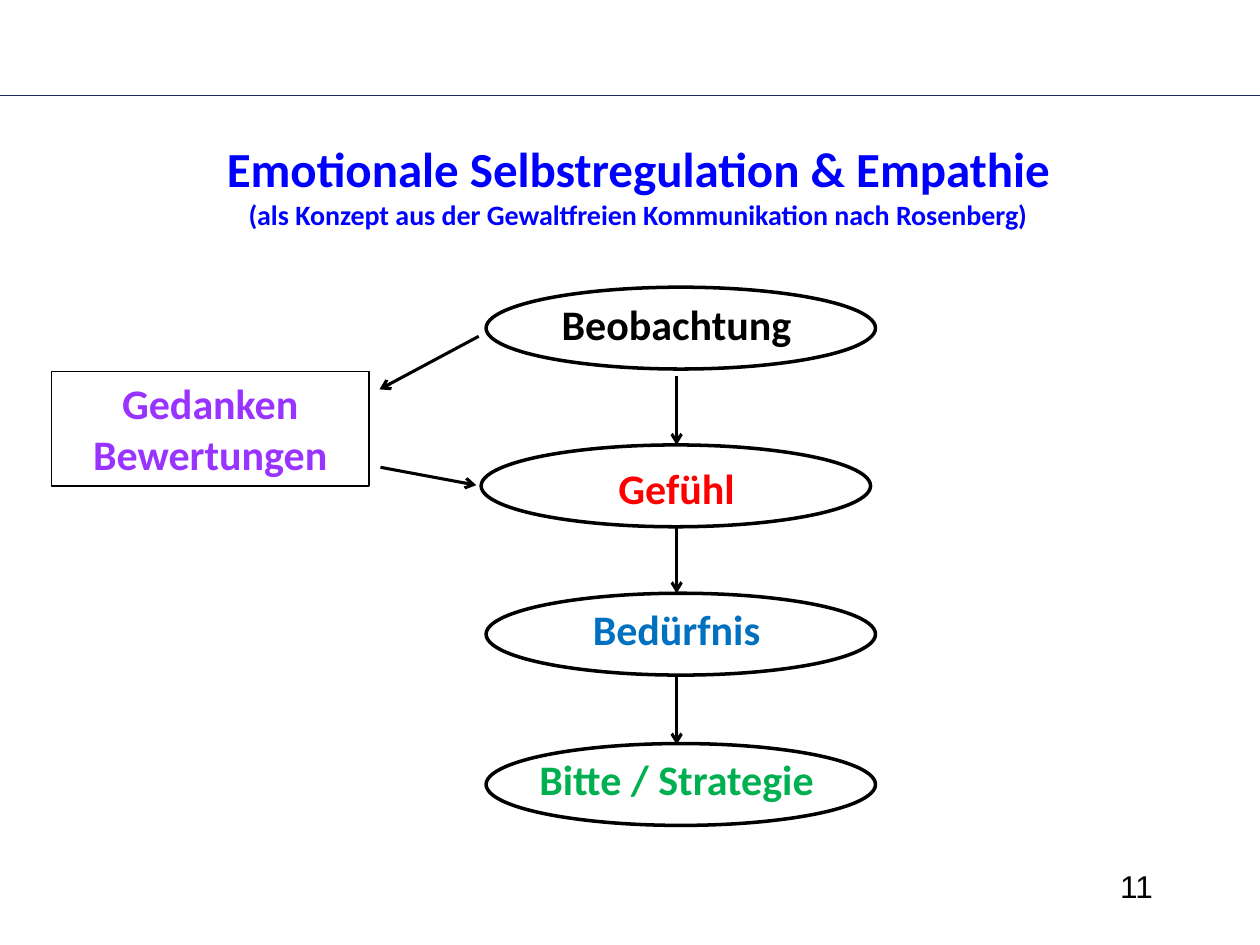
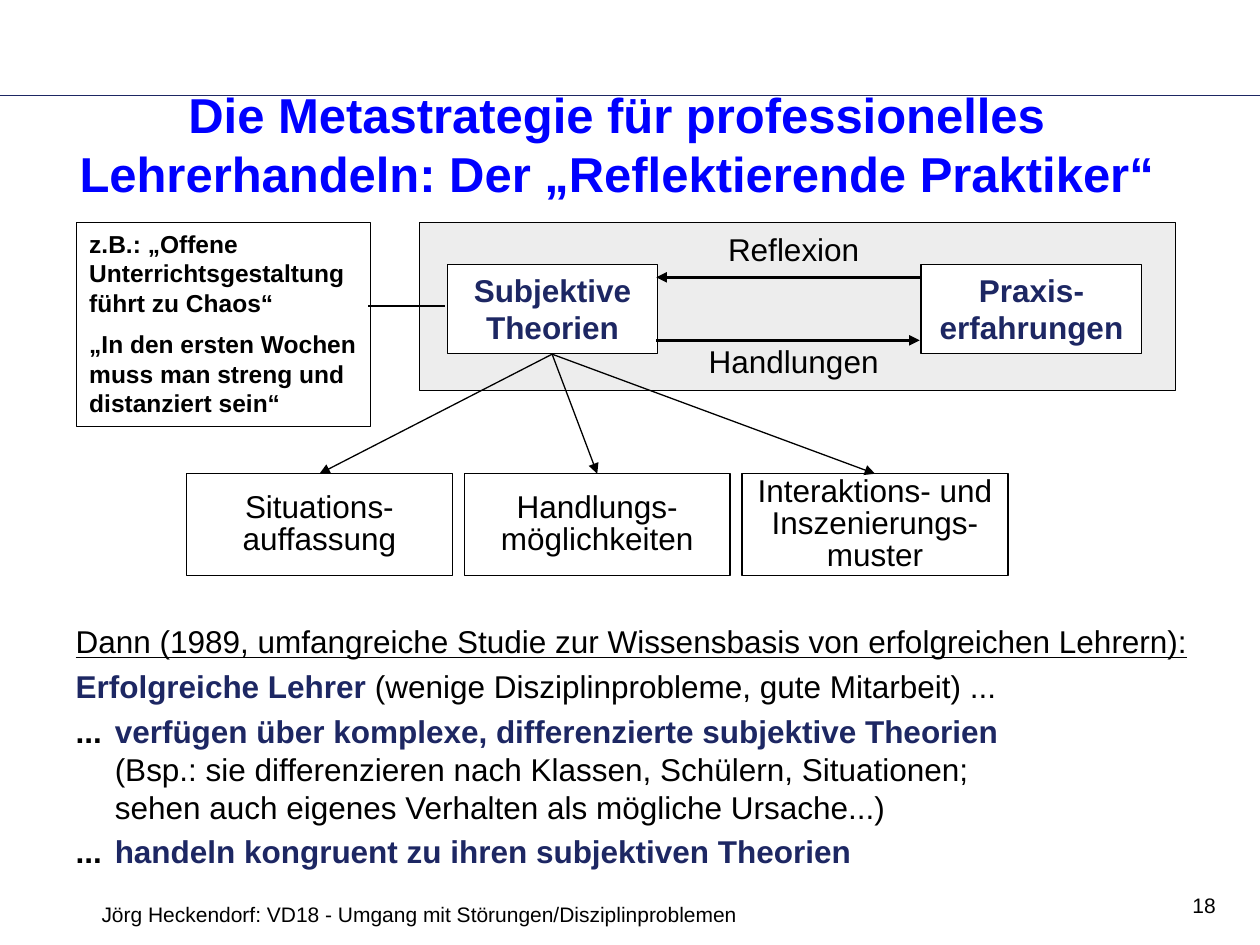
from dataclasses import dataclass
from typing import NamedTuple, Optional

from lxml.etree import SubElement
from pptx import Presentation
from pptx.dml.color import RGBColor
from pptx.enum.shapes import MSO_CONNECTOR, MSO_SHAPE
from pptx.enum.text import MSO_ANCHOR, MSO_AUTO_SIZE, PP_ALIGN
from pptx.oxml.ns import qn
from pptx.util import Cm, Pt


@dataclass(frozen=True)
class Theme:
    sans: str = "Arial"
    humanist: str = "Calibri"
    black: str = "000000"
    white: str = "FFFFFF"
    title: str = "0000FF"
    navy: str = "1D2763"
    panel: str = "DDDDDD"
    thought: str = "9933FF"
    feeling: str = "FF0000"
    need: str = "0070C0"
    request: str = "00B050"
    title_size: int = 28
    step_size: int = 24
    text_size: int = 18
    subtitle_size: int = 16
    example_size: int = 14
    footer_size: int = 12
    thin: float = 0.75
    medium: float = 1.75
    thick: float = 2


THEME = Theme()


class Area(NamedTuple):
    """Left, top, width and height in centimetres."""
    left: float
    top: float
    width: float
    height: float

    def lengths(self) -> tuple:
        return tuple(Cm(value) for value in self)


class Point(NamedTuple):
    x: float
    y: float


class Span(NamedTuple):
    text: str
    color: str = THEME.black
    bold: bool = False
    underline: bool = False


class Step(NamedTuple):
    label: str
    color: str
    left: float
    top: float
    label_top: float


# Text and shape helpers

def add_text(para, text: str, *, size: float = THEME.text_size,
             color: str = THEME.black, font: str = THEME.sans,
             bold: bool = False, underline: bool = False) -> None:
    for number, line in enumerate(text.split("\n")):
        if number:
            para.add_line_break()
        if not line:
            continue
        span = para.add_run()
        span.text = line
        span.font.name = font
        span.font.size = Pt(size)
        span.font.bold = bold
        span.font.underline = underline
        span.font.color.rgb = RGBColor.from_string(color)


def fill_frame(box, lines: list[str], *, align=PP_ALIGN.CENTER,
               anchor=MSO_ANCHOR.TOP, wrap: bool = True, gap: float = 0,
               spacing: Optional[float] = None, **style) -> None:
    frame = box.text_frame
    frame.word_wrap = wrap
    frame.auto_size = MSO_AUTO_SIZE.NONE
    frame.vertical_anchor = anchor
    for number, line in enumerate(lines):
        para = frame.add_paragraph() if number else frame.paragraphs[0]
        para.alignment = align
        para.space_before = Pt(gap if number else 0)
        if spacing:
            para.line_spacing = spacing
        add_text(para, line, **style)


def add_label(page, area: Area, text: str, **style) -> None:
    fill_frame(page.shapes.add_textbox(*area.lengths()), [text], **style)


def add_figure(page, area: Area, kind=MSO_SHAPE.RECTANGLE, *,
               fill: Optional[str] = None, opacity: int = 100,
               weight: float = THEME.thin):
    figure = page.shapes.add_shape(kind, *area.lengths())
    figure.shadow.inherit = False
    figure.line.color.rgb = RGBColor.from_string(THEME.black)
    figure.line.width = Pt(weight)
    if fill is None:
        figure.fill.background()
        return figure
    figure.fill.solid()
    figure.fill.fore_color.rgb = RGBColor.from_string(fill)
    if opacity < 100:
        color = figure.fill._xPr.find(".//" + qn("a:srgbClr"))
        SubElement(color, qn("a:alpha"), val=str(opacity * 1000))
    return figure


def add_line(page, start: Point, end: Point, *, color: str = THEME.black,
             weight: float = THEME.thin, head: Optional[str] = None) -> None:
    line = page.shapes.add_connector(
        MSO_CONNECTOR.STRAIGHT, *(Cm(value) for value in (*start, *end)))
    line.line.color.rgb = RGBColor.from_string(color)
    line.line.width = Pt(weight)
    if head:
        SubElement(line.line._get_or_add_ln(), qn("a:tailEnd"), type=head)
    SubElement(line._element.spPr, qn("a:effectLst"))


def place(holder, area: Area) -> None:
    holder.left, holder.top, holder.width, holder.height = area.lengths()


def new_page(deck, layout: int, title_area: Area):
    """Add a page with its rule and a placed title; the caller fills the title."""
    page = deck.slides.add_slide(deck.slide_layouts[layout])
    add_line(page, Point(0, 1.91), Point(25.4, 1.91), color=THEME.navy, weight=0.25)
    place(page.shapes.title, title_area)
    return page


# Page 11: from observation to request

STEPS = [
    Step("Beobachtung", THEME.black, 9.8, 5.79, 5.89),
    Step("Gefühl", THEME.feeling, 9.7, 8.97, 9.19),
    Step("Bedürfnis", THEME.need, 9.8, 11.96, 12.04),
    Step("Bitte / Strategie", THEME.request, 9.8, 14.99, 15.06),
]


def build_empathy_page(deck) -> None:
    page = new_page(deck, 5, Area(3.86, 2.67, 18.01, 2.13))
    heading = dict(color=THEME.title, font=THEME.humanist, bold=True)
    title = page.shapes.title
    fill_frame(title, ["Emotionale Selbstregulation & Empathie"],
               size=THEME.title_size, **heading)
    subtitle = title.text_frame.add_paragraph()
    subtitle.alignment = PP_ALIGN.CENTER
    subtitle.space_before = Pt(0)
    add_text(subtitle, "(als Konzept aus der Gewaltfreien Kommunikation nach Rosenberg)",
             size=THEME.subtitle_size, **heading)

    # Steps and the arrows between them
    step_style = dict(size=THEME.step_size, font=THEME.humanist, bold=True)
    for step in STEPS:
        add_figure(page, Area(step.left, step.top, 7.85, 1.65), MSO_SHAPE.OVAL,
                   weight=THEME.thick)
        add_label(page, Area(8.64, step.label_top, 10, 1.27), step.label,
                  color=step.color, **step_style)
    arrows = [(Point(13.64, top), Point(13.64, bottom))
              for top, bottom in ((7.57, 8.97), (10.59, 11.96), (13.64, 15.01))]

    # Detour through thoughts and judgements
    thoughts = add_figure(page, Area(1.04, 7.49, 6.4, 2.31))
    fill_frame(thoughts, ["Gedanken Bewertungen"], color=THEME.thought, **step_style)
    arrows += [(Point(9.65, 6.78), Point(7.65, 7.85)),
               (Point(7.67, 9.42), Point(9.6, 9.78))]
    for start, end in arrows:
        add_line(page, start, end, weight=THEME.medium, head="arrow")

    add_label(page, Area(18.21, 17.35, 5.28, 1.27), "11", align=PP_ALIGN.RIGHT)


# Page 18: the reflective practitioner

FINDINGS = [
    [Span("Dann (1989, umfangreiche Studie zur Wissensbasis von erfolgreichen Lehrern):",
          underline=True)],
    [Span("Erfolgreiche Lehrer", THEME.navy, True),
     Span(" (wenige Disziplinprobleme, gute Mitarbeit) ...")],
    [Span("...\t", bold=True),
     Span("verfügen über komplexe, differenzierte subjektive Theorien\n", THEME.navy, True),
     Span("(Bsp.: sie differenzieren nach Klassen, Schülern, Situationen;\n"
          "sehen auch eigenes Verhalten als mögliche Ursache...)")],
    [Span("...\t", bold=True),
     Span("handeln kongruent zu ihren subjektiven Theorien", THEME.navy, True)],
]

COMPONENTS = [
    ["Situations-", "auffassung"],
    ["Handlungs-", "möglichkeiten"],
    ["Interaktions- und", "Inszenierungs-", "muster"],
]


def add_findings(holder) -> None:
    place(holder, Area(1.27, 12.42, 23.06, 5.31))
    frame = holder.text_frame
    frame.auto_size = MSO_AUTO_SIZE.NONE
    for number, spans in enumerate(FINDINGS):
        para = frame.add_paragraph() if number else frame.paragraphs[0]
        properties = para._p.get_or_add_pPr()
        properties.set("marL", str(Cm(0.79)))
        properties.set("indent", str(Cm(-0.79)))
        SubElement(properties, qn("a:buNone"))
        para.space_before = Pt(4 if number else 0)
        for span in spans:
            add_text(para, span.text, color=span.color, bold=span.bold,
                     underline=span.underline)


def build_practitioner_page(deck) -> None:
    page = new_page(deck, 1, Area(0.71, 1.88, 23.44, 2.03))
    fill_frame(page.shapes.title,
               ["Die Metastrategie für professionelles Lehrerhandeln: "
                "Der „Reflektierende Praktiker“"],
               anchor=MSO_ANCHOR.MIDDLE, size=THEME.title_size,
               color=THEME.title, bold=True)
    add_findings(page.placeholders[1])

    # Cycle of theories and experience
    add_figure(page, Area(8.46, 4.49, 15.24, 3.38), fill=THEME.panel, opacity=50)
    for text, left, width in (("Subjektive Theorien", 9.02, 4.24),
                              ("Praxis-erfahrungen", 18.57, 4.45)):
        box = add_figure(page, Area(left, 5.33, width, 1.8), fill=THEME.white)
        fill_frame(box, [text], color=THEME.navy, bold=True)
    for text, top in (("Reflexion", 4.52), ("Handlungen", 6.78)):
        add_label(page, Area(13.46, top, 5.08, 1.02), text)
    for start, end in ((Point(13.23, 6.86), Point(18.54, 6.86)),
                       (Point(18.54, 5.59), Point(13.23, 5.59))):
        add_line(page, start, end, weight=THEME.thick, head="triangle")

    # Examples of subjective theories
    examples = add_figure(page, Area(1.55, 4.49, 5.92, 4.11))
    fill_frame(examples,
               ["z.B.: „Offene Unterrichtsgestaltung führt zu Chaos“",
                "„In den ersten Wochen muss man streng und distanziert sein“"],
               align=PP_ALIGN.LEFT, gap=7, size=THEME.example_size, bold=True)
    add_line(page, Point(8.97, 6.17), Point(7.42, 6.17))

    # Components of subjective theories
    width, pitch, top = 5.36, 5.6, 9.55
    for number, lines in enumerate(COMPONENTS):
        left = 3.76 + number * pitch
        box = add_figure(page, Area(left, top, width, 2.06))
        fill_frame(box, lines, anchor=MSO_ANCHOR.MIDDLE, wrap=False, spacing=0.85)
        add_line(page, Point(11.13, 7.14), Point(left + width / 2, top), head="triangle")

    # Footer
    footer = dict(anchor=MSO_ANCHOR.MIDDLE, size=THEME.footer_size)
    add_label(page, Area(0, 17.91, 16.92, 1.02),
              "Jörg Heckendorf: VD18 - Umgang mit Störungen/Disziplinproblemen", **footer)
    add_label(page, Area(23.11, 17.73, 1.65, 1.02), "18", align=PP_ALIGN.RIGHT, **footer)


def main() -> None:
    deck = Presentation()
    deck.slide_width, deck.slide_height = Cm(25.4), Cm(19.05)
    build_empathy_page(deck)
    build_practitioner_page(deck)
    deck.save("out.pptx")


if __name__ == "__main__":
    main()
